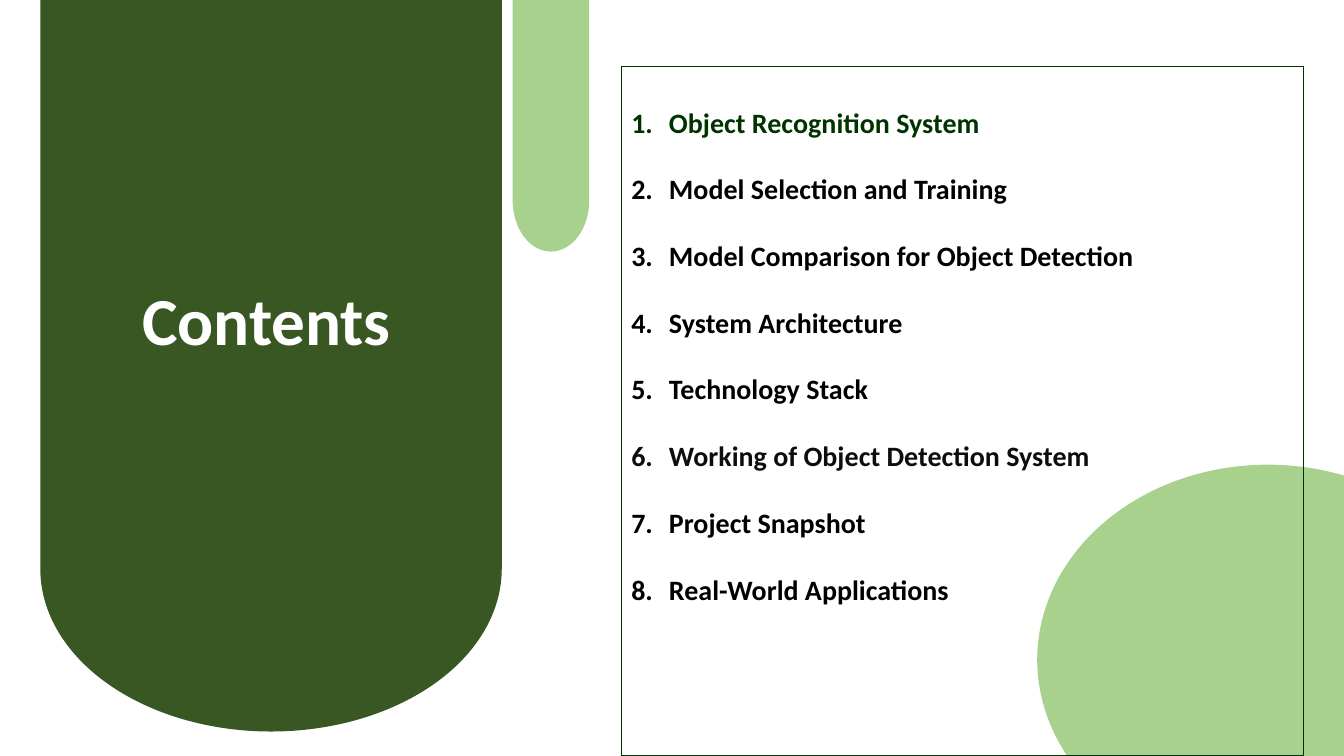
from pptx import Presentation
from pptx.dml.color import RGBColor
from pptx.enum.shapes import MSO_SHAPE as Shape
from pptx.enum.text import MSO_ANCHOR as Anchor, PP_ALIGN as Align
from pptx.oxml.ns import qn
from pptx.util import Cm, Pt
from lxml.etree import SubElement


def color(value):
    return RGBColor.from_string(value)


def style_text(para, size, value):
    for span in para.runs:
        span.font.name = "Calibri"
        span.font.size = Pt(size)
        span.font.bold = True
        span.font.color.rgb = color(value)


deck = Presentation()
deck.slide_width = Cm(33.87)
deck.slide_height = Cm(19.05)
page = deck.slides.add_slide(deck.slide_layouts[6])

decorations = [
    (Shape.FLOWCHART_TERMINATOR, -5.92, -0.13, 25.5, 11.63, 90, "385723"),
    (Shape.FLOWCHART_TERMINATOR, 9.86, 1.35, 8.05, 1.93, 270, "A9D18E"),
    (Shape.OVAL, 26.14, 11.71, 11.63, 9.83, 0, "A9D18E"),
]
for kind, left, top, width, height, rotation, fill in decorations:
    shape = page.shapes.add_shape(kind, Cm(left), Cm(top), Cm(width), Cm(height))
    shape.rotation = rotation
    shape.shadow.inherit = False
    shape.fill.solid()
    shape.fill.fore_color.rgb = color(fill)
    shape.line.fill.background()

title = page.shapes.add_textbox(Cm(3.33), Cm(6.88), Cm(7.21), Cm(2.31))
title.text_frame.word_wrap = True
title.text_frame.text = "Contents"
style_text(title.text_frame.paragraphs[0], 48, "FFFFFF")

agenda = page.shapes.add_shape(
    Shape.RECTANGLE, Cm(15.66), Cm(1.68), Cm(17.18), Cm(17.35)
)
agenda.shadow.inherit = False
agenda.fill.background()
agenda.line.color.rgb = color("003300")
agenda.line.width = Pt(0.75)

topics = [
    ("Object Recognition System", "003300"),
    ("Model Selection and Training", "000000"),
    ("Model Comparison for Object Detection", "000000"),
    ("System Architecture", "000000"),
    ("Technology Stack", "000000"),
    ("Working of Object Detection System", "0D0D0D"),
    ("Project Snapshot", "000000"),
    ("Real-World Applications", "000000"),
]
frame = agenda.text_frame
frame.word_wrap = True
frame.vertical_anchor = Anchor.TOP
frame.margin_top = Cm(0.97)
frame.text = "\n".join(topic for topic, _ in topics)
for para, (_, value) in zip(frame.paragraphs, topics):
    para.alignment = Align.LEFT
    para.space_after = Pt(23.65)
    properties = para._p.get_or_add_pPr()
    properties.set("marL", str(Cm(0.95)))
    properties.set("indent", str(-Cm(0.95)))
    SubElement(properties, qn("a:buFont"), typeface="+mj-lt")
    SubElement(properties, qn("a:buAutoNum"), type="arabicPeriod")
    style_text(para, 20, value)

deck.save("out.pptx")
